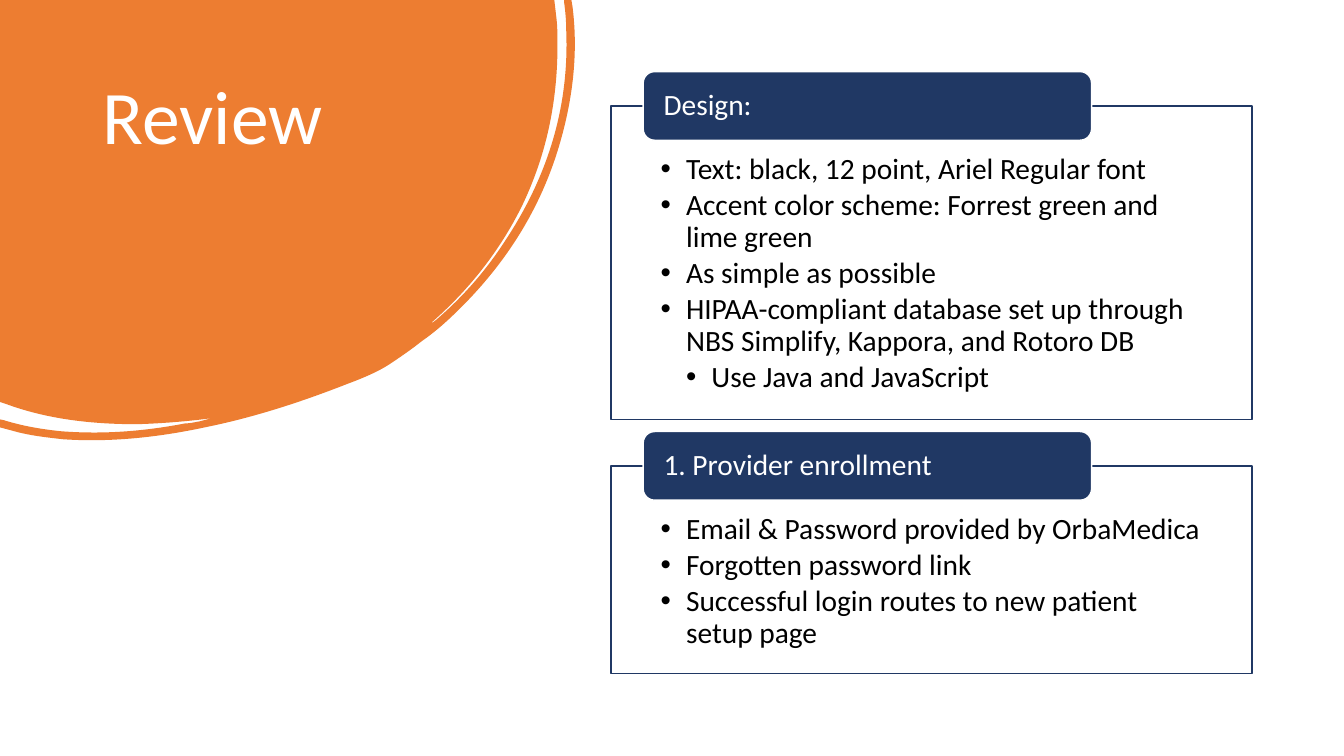
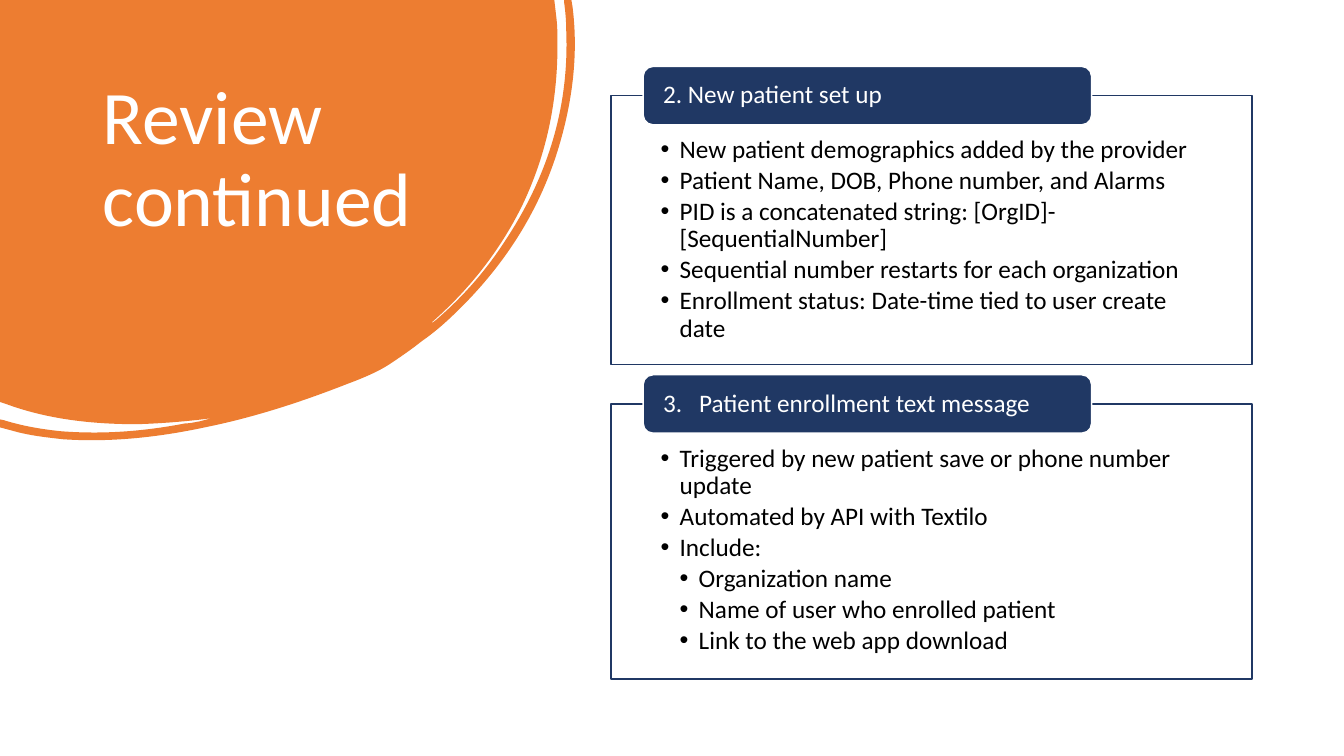
from dataclasses import dataclass
from lxml.etree import SubElement
from pptx import Presentation
from pptx.dml.color import RGBColor
from pptx.enum.shapes import MSO_SHAPE
from pptx.enum.text import MSO_ANCHOR, PP_ALIGN
from pptx.oxml.ns import qn
from pptx.util import Cm, Pt

COLORS = {"orange": "ED7D31", "navy": "203864", "white": "FFFFFF", "black": "000000"}
FONT = "Calibri"

# Panel grid, in cm
BOX_LEFT, BOX_WIDTH = 15.4, 16.15
TAB_LEFT, TAB_WIDTH = 16.21, 11.3
NUMBER_HANG = 0.91

# Blob outline in cm: pairs are line ends, sixes are Bézier curves
BLOB = [
    (13.97, 0), (14.02, 0.43),
    (14.05, 0.66, 14.05, 0.91, 14.05, 1.14),
    (14.05, 2.57, 13.77, 3.91, 13.16, 5.18),
    (12.6, 6.32, 11.81, 7.32, 10.85, 8.15),
    (10.9, 8.15, 10.92, 8.1, 10.97, 8.08),
    (11.66, 7.49, 12.24, 6.83, 12.73, 6.07),
    (13.79, 4.47, 14.35, 2.72, 14.27, 0.76),
    (14.27, 0.53, 14.25, 0.3, 14.22, 0.08),
    (14.22, 0), (14.4, 0), (14.43, 0.18),
    (14.58, 1.37, 14.43, 2.59, 14.05, 3.81),
    (13.54, 5.44, 12.62, 6.81, 11.38, 7.98),
    (11.15, 8.2, 10.9, 8.41, 10.64, 8.59),
    (10.39, 8.79, 10.13, 8.97, 9.83, 9.17),
    (9.53, 9.37, 9.14, 9.53, 8.74, 9.68),
    (7.59, 10.13, 6.4, 10.52, 5.16, 10.77),
    (3.99, 11.02, 2.79, 11.15, 1.6, 11.07),
    (1.14, 11.02, 0.71, 10.97, 0.3, 10.85),
    (0, 10.77), (0, 10.57), (0.1, 10.59),
    (0.58, 10.74, 1.07, 10.82, 1.55, 10.87),
    (2.62, 10.95, 3.63, 10.87, 4.67, 10.67),
    (4.8, 10.67, 4.9, 10.64, 5.03, 10.62),
    (5.13, 10.59, 5.23, 10.57, 5.33, 10.54),
    (4.72, 10.62, 4.09, 10.67, 3.45, 10.69),
    (2.34, 10.69, 1.22, 10.57, 0.18, 10.19),
    (0, 10.13),
]


@dataclass(frozen=True)
class Bullet:
    text: str
    level: int = 1


@dataclass(frozen=True)
class Panel:
    heading: str
    top: float
    height: float
    bullets: list[Bullet]


@dataclass(frozen=True)
class Style:
    """Text size with the lengths (cm) that go with it."""
    size: int
    tab_height: float
    indent: float
    inset_top: float
    inset_bottom: float


@dataclass(frozen=True)
class Review:
    title: str
    style: Style
    panels: list[Panel]


LARGE = Style(21, 1.73, 0.64, 1.22, 0.41)
SMALL = Style(18, 1.47, 0.48, 1.04, 0.36)

REVIEWS = [
    Review("Review", LARGE, [
        Panel("Design:", 2.67, 7.9, [
            Bullet("Text: black, 12 point, Ariel Regular font"),
            Bullet("Accent color scheme: Forrest green and lime green"),
            Bullet("As simple as possible"),
            Bullet("HIPAA-compliant database set up through "
                   "NBS Simplify, Kappora, and Rotoro DB"),
            Bullet("Use Java and JavaScript", 2),
        ]),
        Panel("1. Provider enrollment", 11.74, 5.23, [
            Bullet("Email & Password provided by OrbaMedica"),
            Bullet("Forgotten password link"),
            Bullet("Successful login routes to new patient setup page"),
        ]),
    ]),
    Review("Review continued", SMALL, [
        Panel("2. New patient set up", 2.41, 6.78, [
            Bullet("New patient demographics added by the provider"),
            Bullet("Patient Name, DOB, Phone number, and Alarms"),
            Bullet("PID is a concatenated string: [OrgID]-[SequentialNumber]"),
            Bullet("Sequential number restarts for each organization"),
            Bullet("Enrollment status: Date-time tied to user create date"),
        ]),
        Panel("3.\tPatient enrollment text message", 10.18, 6.93, [
            Bullet("Triggered by new patient save or phone number update"),
            Bullet("Automated by API with Textilo"),
            Bullet("Include:"),
            Bullet("Organization name", 2),
            Bullet("Name of user who enrolled patient", 2),
            Bullet("Link to the web app download", 2),
        ]),
    ]),
]


def rgb(name: str) -> RGBColor:
    return RGBColor.from_string(COLORS[name])


def write(p, text: str, *, size: int, color: str, after: float = 0,
          level: int = 1, hang: float = 0, bullet: bool = False) -> None:
    """Fill paragraph p; hang is the hanging indent of one level in cm."""
    p.alignment, p.line_spacing, p.space_after = PP_ALIGN.LEFT, 0.9, Pt(after)
    r = p.add_run()
    r.text = text
    r.font.name, r.font.size, r.font.color.rgb = FONT, Pt(size), rgb(color)
    if hang:
        pPr = p._p.get_or_add_pPr()
        pPr.set("marL", str(Cm(hang * level)))
        pPr.set("indent", str(-Cm(hang)))
        if bullet:
            SubElement(pPr, qn("a:buFont")).set("typeface", "Arial")
            SubElement(pPr, qn("a:buChar")).set("char", "•")


def set_frame(tf, left: float, top: float, right: float, bottom: float,
              anchor: MSO_ANCHOR = MSO_ANCHOR.TOP) -> None:
    tf.word_wrap, tf.vertical_anchor = True, anchor
    tf.margin_left, tf.margin_top = Cm(left), Cm(top)
    tf.margin_right, tf.margin_bottom = Cm(right), Cm(bottom)


def paint(sp, fill: str, line: str | None = None) -> None:
    sp.shadow.inherit = False
    sp.fill.solid()
    sp.fill.fore_color.rgb = rgb(fill)
    if line:
        sp.line.color.rgb, sp.line.width = rgb(line), Pt(1)
    else:
        sp.line.fill.background()


def draw_blob(s) -> None:
    """Draw the outline through its end points, then bend the curved segments."""
    builder = s.shapes.build_freeform(0, 0)
    builder.add_line_segments([(Cm(seg[-2]), Cm(seg[-1])) for seg in BLOB], close=True)
    sp = builder.convert_to_shape()
    paint(sp, "orange")
    for line, seg in zip(list(sp._element.iter(qn("a:lnTo"))), BLOB):
        if len(seg) == 6:
            line.tag = qn("a:cubicBezTo")
            line.clear()
            for x, y in zip(seg[::2], seg[1::2]):
                pt = SubElement(line, qn("a:pt"))
                pt.set("x", str(Cm(x)))
                pt.set("y", str(Cm(y)))


def draw_title(s, title: str) -> None:
    tf = s.shapes.add_textbox(Cm(2.34), Cm(1.87), Cm(8.94), Cm(5.64)).text_frame
    set_frame(tf, 0.25, 0.13, 0.25, 0.13)
    write(tf.paragraphs[0], title, size=54, color="white")


def draw_panel(s, panel: Panel, style: Style) -> None:
    # Box with bullets
    box = s.shapes.add_shape(MSO_SHAPE.RECTANGLE, Cm(BOX_LEFT), Cm(panel.top),
                             Cm(BOX_WIDTH), Cm(panel.height))
    paint(box, "white", "navy")
    tf = box.text_frame
    set_frame(tf, 1.25, style.inset_top, 1.25, style.inset_bottom)
    for i, item in enumerate(panel.bullets):
        p = tf.add_paragraph() if i else tf.paragraphs[0]
        write(p, item.text, size=style.size, color="black", after=style.size * 0.15,
              level=item.level, hang=style.indent, bullet=True)

    # Heading tab, centred on the top edge of the box
    tab = s.shapes.add_shape(MSO_SHAPE.ROUNDED_RECTANGLE, Cm(TAB_LEFT),
                             Cm(panel.top - style.tab_height / 2),
                             Cm(TAB_WIDTH), Cm(style.tab_height))
    paint(tab, "navy", "white")
    set_frame(tab.text_frame, 0.43, 0, 0.43, 0, MSO_ANCHOR.MIDDLE)
    write(tab.text_frame.paragraphs[0], panel.heading, size=style.size, color="white",
          hang=NUMBER_HANG if "\t" in panel.heading else 0)


def main() -> None:
    prs = Presentation()
    prs.slide_width, prs.slide_height = Cm(33.87), Cm(19.05)
    for review in REVIEWS:
        s = prs.slides.add_slide(prs.slide_layouts[6])
        draw_blob(s)
        draw_title(s, review.title)
        for panel in review.panels:
            draw_panel(s, panel, review.style)
    prs.save("out.pptx")


if __name__ == "__main__":
    main()
